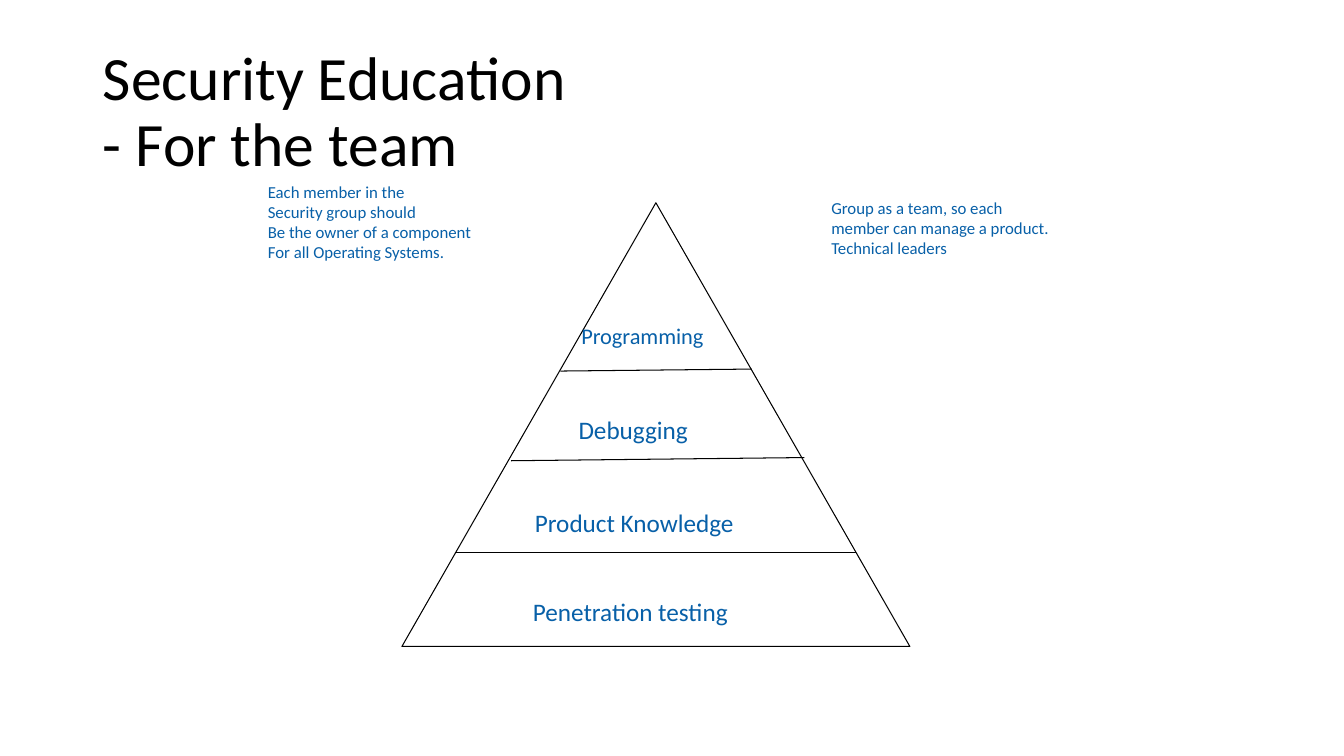
from dataclasses import dataclass

import pptx
import pptx.dml.color
import pptx.enum.shapes
import pptx.enum.text
import pptx.oxml
import pptx.oxml.ns
import pptx.slide
import pptx.text.text
import pptx.util
from pptx.util import Cm

FONT = "Calibri"
COLOURS = {"ink": "000000", "label": "0860A8"}
LINE_WIDTH = pptx.util.Pt(0.75)


@dataclass(frozen=True)
class Divider:
    left: float
    left_y: float
    right: float
    right_y: float


@dataclass(frozen=True)
class TextBlock:
    left: float
    top: float
    width: float
    height: float
    size: int
    lines: tuple[str, ...]
    wrap: bool = False


DIVIDERS = (
    Divider(14.12, 9.35, 18.95, 9.3),
    Divider(12.88, 11.61, 20.27, 11.53),
    Divider(11.46, 13.92, 21.56, 13.92),
)

LEVELS = (
    TextBlock(14.4, 8.0, 3.63, 0.94, 16, ("Programming",)),
    TextBlock(14.33, 10.31, 3.3, 1.02, 18, ("Debugging",)),
    TextBlock(13.23, 12.65, 5.59, 1.02, 18, ("Product Knowledge",)),
    TextBlock(13.18, 14.91, 5.49, 1.02, 18, ("Penetration testing",)),
)

NOTES = (
    TextBlock(6.5, 4.45, 6.96, 2.31, 12, (
        "Each member in the",
        "Security group should",
        "Be the owner of a component",
        "For all Operating Systems.",
    ), wrap=True),
    TextBlock(20.7, 4.85, 6.38, 1.8, 12, (
        "Group as a team, so each member can manage a product. Technical leaders",
    ), wrap=True),
)


def colour(name: str) -> pptx.dml.color.RGBColor:
    return pptx.dml.color.RGBColor.from_string(COLOURS[name])


def add_span(para: pptx.text.text._Paragraph, text: str, size: int, ink: str) -> None:
    span = para.add_run()
    span.text = text
    span.font.name = FONT
    span.font.size = pptx.util.Pt(size)
    span.font.color.rgb = colour(ink)


def add_title(page: pptx.slide.Slide, lines: tuple[str, ...]) -> None:
    title = page.shapes.title
    title.left, title.top = Cm(2.34), Cm(1.02)
    title.width, title.height = Cm(29.21), Cm(3.68)
    frame = title.text_frame
    frame.word_wrap = True
    frame.auto_size = pptx.enum.text.MSO_AUTO_SIZE.NONE
    frame.vertical_anchor = pptx.enum.text.MSO_ANCHOR.MIDDLE
    para = frame.paragraphs[0]
    para.alignment = pptx.enum.text.PP_ALIGN.LEFT
    para.line_spacing = 0.9
    for index, line in enumerate(lines):
        if index:
            para.add_line_break()
        add_span(para, line, 44, "ink")


def add_pyramid(page: pptx.slide.Slide) -> None:
    pyramid = page.shapes.add_shape(
        pptx.enum.shapes.MSO_SHAPE.ISOSCELES_TRIANGLE,
        Cm(10.13), Cm(5.11), Cm(12.8), Cm(11.18),
    )
    pyramid.shadow.inherit = False
    pyramid.fill.background()
    pyramid.line.color.rgb = colour("ink")
    pyramid.line.width = LINE_WIDTH


def add_divider(page: pptx.slide.Slide, divider: Divider) -> None:
    line = page.shapes.add_connector(
        pptx.enum.shapes.MSO_CONNECTOR.STRAIGHT,
        Cm(divider.left), Cm(divider.left_y), Cm(divider.right), Cm(divider.right_y),
    )
    line.line.color.rgb = colour("ink")
    line.line.width = LINE_WIDTH
    properties = line._element.spPr
    properties.append(pptx.oxml.parse_xml(
        f"<a:effectLst {pptx.oxml.ns.nsdecls('a')}/>"))


def add_text_block(page: pptx.slide.Slide, block: TextBlock) -> None:
    box = page.shapes.add_textbox(
        Cm(block.left), Cm(block.top), Cm(block.width), Cm(block.height))
    frame = box.text_frame
    frame.word_wrap = block.wrap
    frame.auto_size = pptx.enum.text.MSO_AUTO_SIZE.SHAPE_TO_FIT_TEXT
    for index, line in enumerate(block.lines):
        para = frame.add_paragraph() if index else frame.paragraphs[0]
        add_span(para, line, block.size, "label")


def main() -> None:
    deck = pptx.Presentation()
    deck.slide_width, deck.slide_height = Cm(33.87), Cm(19.05)
    page = deck.slides.add_slide(deck.slide_layouts.get_by_name("Title Only"))

    # Heading
    add_title(page, ("Security Education ", "- For the team"))

    # Pyramid and its levels
    add_pyramid(page)
    for divider in DIVIDERS:
        add_divider(page, divider)

    # Level labels and side notes
    for block in LEVELS + NOTES:
        add_text_block(page, block)

    deck.save("out.pptx")


if __name__ == "__main__":
    main()
